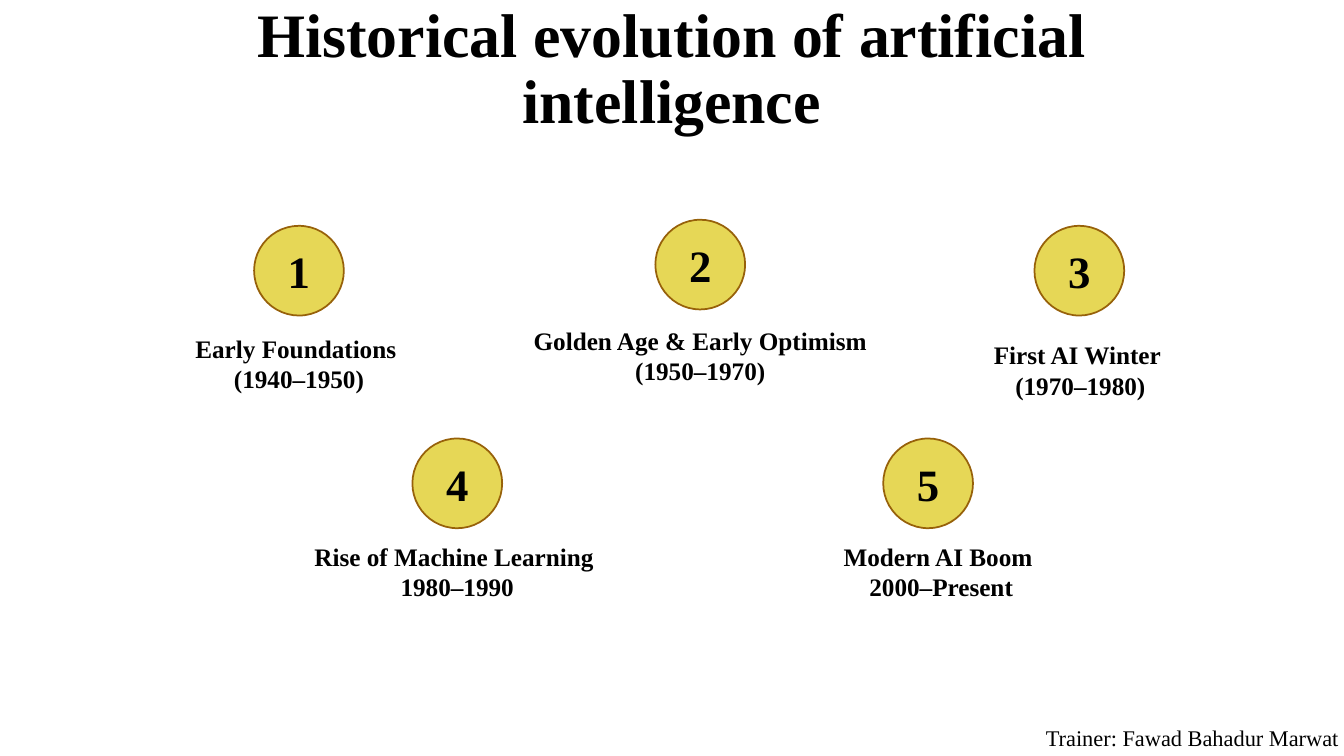
from lxml import etree
from pptx import Presentation
from pptx.dml.color import RGBColor
from pptx.enum.shapes import MSO_SHAPE as Shape
from pptx.enum.text import MSO_ANCHOR as Anchor, PP_ALIGN as Align
from pptx.util import Inches, Pt

TITLE = "Historical evolution of artificial intelligence"
TRAINER = "Trainer: Fawad Bahadur Marwat"
# number, label, label left and top, circle left and top
ERAS = [
    ("1", "Early Foundations \n(1940–1950)", (1.14, 3.26), (2.52, 2.24)),
    ("2", "Golden Age & Early Optimism (1950–1970)", (5.12, 3.18), (6.5, 2.18)),
    ("3", "First AI Winter \n(1970–1980)", (8.89, 3.32), (10.26, 2.24)),
    ("4", "Rise of Machine Learning \v1980–1990", (2.71, 5.32), (4.09, 4.35)),
    ("5", "Modern AI Boom \n2000–Present", (7.51, 5.32), (8.76, 4.35)),
]
LABEL_SIZE = (3.65, 0.71)
CIRCLE_SIZE = (0.89, 0.89)
COLORS = {"text": "000000", "circle": "E6D756", "rim": "97610A", "outline": "404040"}
FONT = "Times New Roman"
DRAWING_NS = "http://schemas.openxmlformats.org/drawingml/2006/main"

OUTLINE = f"""<a:ln xmlns:a="{DRAWING_NS}" w="9525"><a:solidFill>
<a:srgbClr val="{COLORS['outline']}"><a:alpha val="10000"/></a:srgbClr>
</a:solidFill><a:prstDash val="solid"/></a:ln>"""
SHADOW = f"""<a:effectLst xmlns:a="{DRAWING_NS}">
<a:outerShdw blurRad="38100" dist="38100" dir="2700000" algn="tl">
<a:srgbClr val="000000"><a:alpha val="43000"/></a:srgbClr></a:outerShdw></a:effectLst>"""


def color(name):
    return RGBColor.from_string(COLORS[name])


def write(shape, text, size, bold=True, anchor=Anchor.TOP, spacing=None, after=None, shadow=False):
    frame = shape.text_frame
    frame.word_wrap = True
    frame.vertical_anchor = anchor
    frame.text = text
    for line in frame.paragraphs:
        line.alignment = Align.CENTER
        if spacing:
            line.line_spacing = spacing
        if after:
            line.space_after = Pt(after)
        for run in line.runs:
            run.font.name = FONT
            run.font.size = Pt(size)
            run.font.bold = bold
            run.font.color.rgb = color("text")
            if shadow:
                # Outline goes before the fill, shadow right after it
                props = run.font._element
                props.insert(0, etree.fromstring(OUTLINE))
                props.insert(2, etree.fromstring(SHADOW))


def inches(*lengths):
    return [Inches(length) for length in lengths]


deck = Presentation()
deck.slide_width, deck.slide_height = inches(13.33, 7.5)
slide = deck.slides.add_slide(deck.slide_layouts[6])

# Trainer line and title
trainer = slide.shapes.add_textbox(*inches(10.18, 7.11, 3.29, 0.5))
write(trainer, TRAINER, 16, bold=False, spacing=1.1, after=6, shadow=True)
title = slide.shapes.add_textbox(*inches(1.08, 0.11, 11.17, 1.3))
write(title, TITLE, 44.1, anchor=Anchor.BOTTOM, spacing=0.9, shadow=True)

# Eras: a label under a numbered circle, grouped
for number, era, label_at, circle_at in ERAS:
    group = slide.shapes.add_group_shape()
    label = group.shapes.add_textbox(*inches(*label_at, *LABEL_SIZE))
    write(label, era, 18)
    circle = group.shapes.add_shape(Shape.OVAL, *inches(*circle_at, *CIRCLE_SIZE))
    circle.shadow.inherit = False
    circle.fill.solid()
    circle.fill.fore_color.rgb = color("circle")
    circle.line.color.rgb = color("rim")
    circle.line.width = Pt(1.25)
    write(circle, number, 32, anchor=Anchor.MIDDLE)

deck.save("out.pptx")
